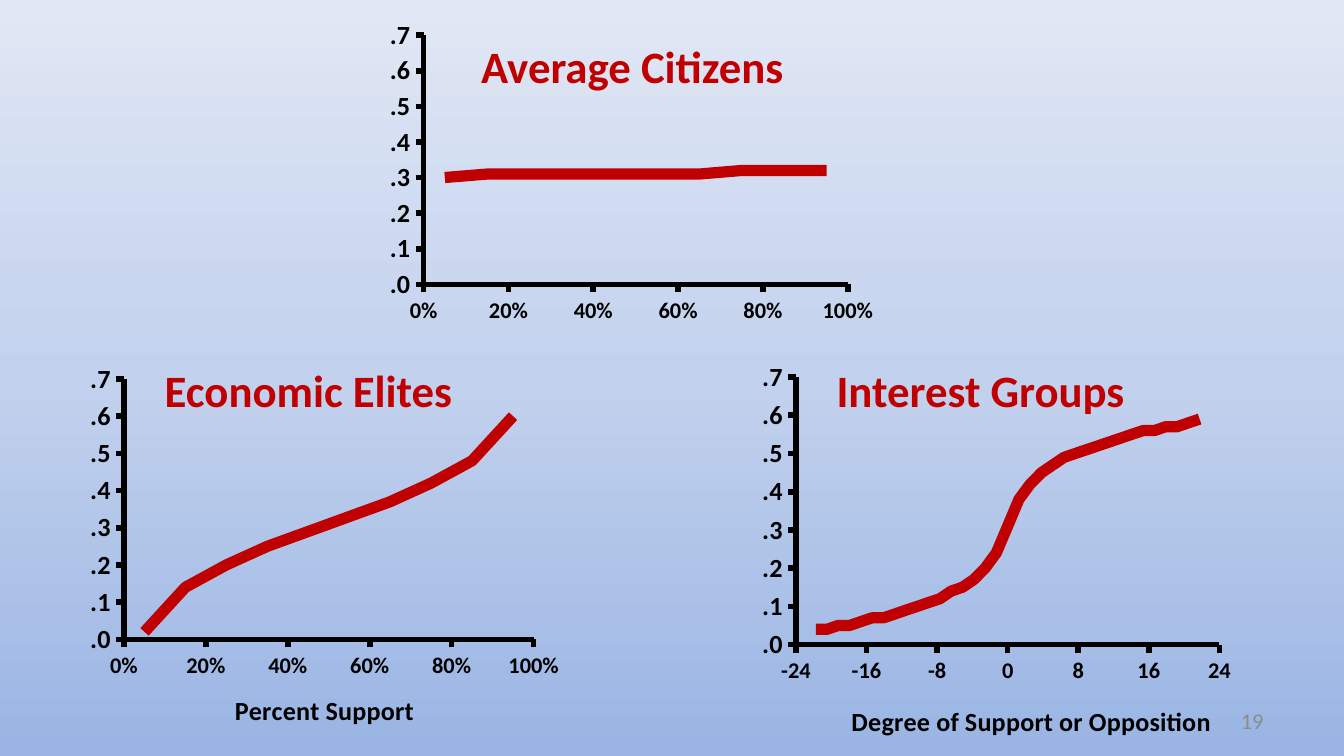
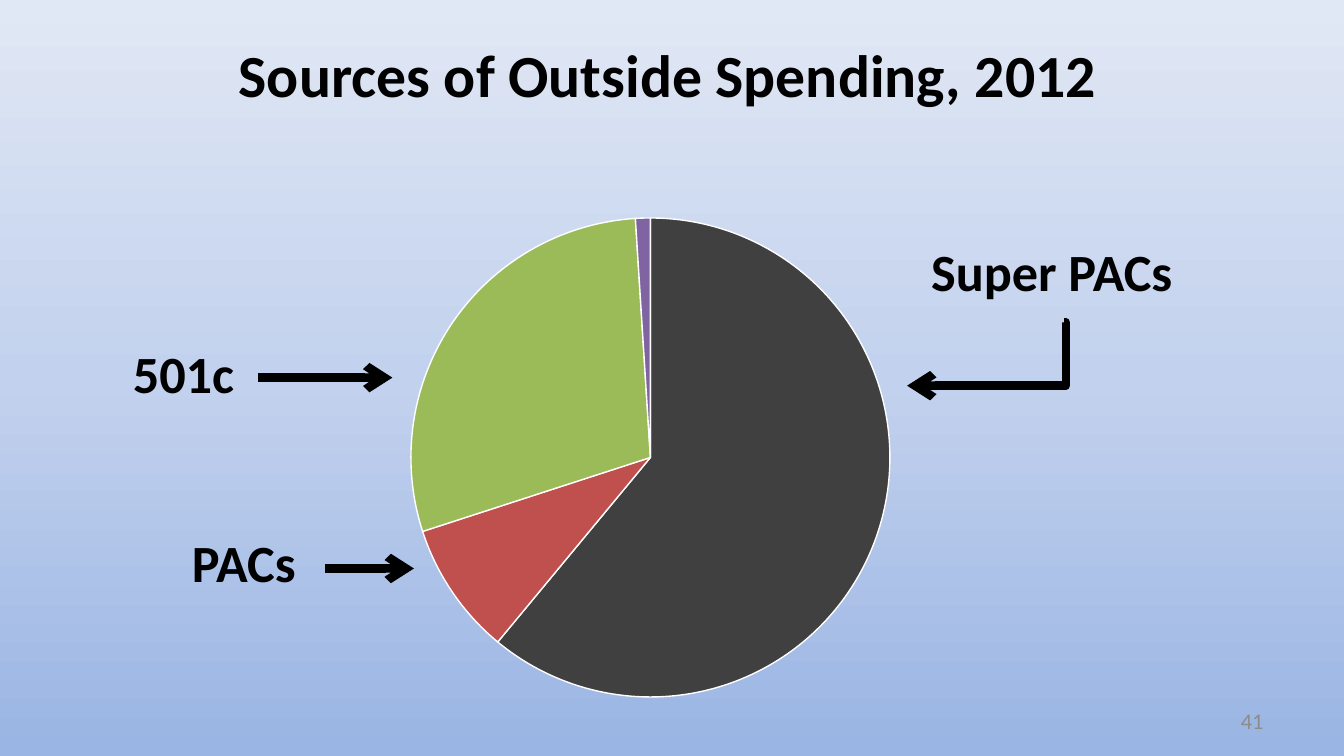
import copy
import dataclasses

import lxml.etree
import pptx
import pptx.chart.data
import pptx.dml.color
import pptx.enum.chart
import pptx.enum.shapes
import pptx.enum.text
import pptx.oxml.ns
import pptx.util

Inches = pptx.util.Inches
qn = pptx.oxml.ns.qn
Align = pptx.enum.text.PP_ALIGN
Anchor = pptx.enum.text.MSO_ANCHOR
ChartType = pptx.enum.chart.XL_CHART_TYPE
Connector = pptx.enum.shapes.MSO_CONNECTOR


@dataclasses.dataclass(frozen=True)
class Theme:
    """Colours, font and type sizes shared by the slides."""

    font: str = "Calibri"
    ink: str = "000000"
    curve: str = "C00000"
    muted: str = "8C8C8C"
    edge: str = "FFFFFF"
    backdrop: tuple = ("9AB5E4", "C2D1ED", "E1E8F5")
    slices: tuple = ("404040", "C0504D", "9BBB59", "8064A2")
    title: int = 32
    label: int = 28
    heading: int = 24
    axis: int = 14
    small: int = 12
    chart: int = 10


THEME = Theme()

SHARES = [5 * step / 100 for step in range(1, 20, 2)]
CITIZENS = [0.3] + [0.31] * 6 + [0.32] * 3
ELITES = [0.02, 0.14, 0.2, 0.25, 0.29, 0.33, 0.37, 0.42, 0.48, 0.6]
POSITIONS = [round(1.28 * step, 2) for step in range(-17, 18)]
GROUPS = [
    0.04, 0.04, 0.05, 0.05, 0.06, 0.07, 0.07, 0.08, 0.09, 0.1, 0.11, 0.12,
    0.14, 0.15, 0.17, 0.2, 0.24, 0.31, 0.38, 0.42, 0.45, 0.47, 0.49, 0.5,
    0.51, 0.52, 0.53, 0.54, 0.55, 0.56, 0.56, 0.57, 0.57, 0.58, 0.59,
]


def rgb(code):
    """Turn a hex code into a colour."""
    return pptx.dml.color.RGBColor.from_string(code)


def set_font(font, size, color=THEME.ink, bold=False):
    """Apply the theme font with a size, colour and weight."""
    font.name = THEME.font
    font.size = pptx.util.Pt(size)
    font.bold = bold
    font.color.rgb = rgb(color)


def set_line(line, color, width):
    """Give a line a solid colour and a width in points."""
    line.color.rgb = rgb(color)
    line.width = pptx.util.Pt(width)


def write(frame, text, size, color=THEME.ink, bold=True, align=Align.LEFT):
    """Write one formatted paragraph into a text frame."""
    para = frame.paragraphs[0]
    para.alignment = align
    span = para.add_run()
    span.text = text
    set_font(span.font, size, color, bold)


def place(left, top, width, height):
    """Convert a box in inches to lengths."""
    return [Inches(value) for value in (left, top, width, height)]


def add_text(page, text, box, anchor=Anchor.TOP, **style):
    """Add a wrapping text box."""
    frame = page.shapes.add_textbox(*place(*box)).text_frame
    frame.word_wrap = True
    frame.vertical_anchor = anchor
    write(frame, text, **style)


def add_heading(page, text, box):
    """Add the red heading of a small chart."""
    add_text(page, text, box, size=THEME.heading, color=THEME.curve, align=Align.CENTER)


def add_number(page, text):
    """Add the page number at the lower right."""
    add_text(page, text, (7.17, 5.21, 2.33, 0.3), anchor=Anchor.MIDDLE,
             size=THEME.small, color=THEME.muted, bold=False, align=Align.RIGHT)


def set_title(page, text, box):
    """Move and format the title placeholder."""
    title = page.shapes.title
    title.left, title.top, title.width, title.height = place(*box)
    frame = title.text_frame
    frame.word_wrap = True
    frame.vertical_anchor = Anchor.TOP
    frame.auto_size = pptx.enum.text.MSO_AUTO_SIZE.NONE
    write(frame, text, THEME.title, align=Align.CENTER)


def set_backdrop(master):
    """Fill the master background with an upward gradient."""
    fill = master.background.fill
    fill.gradient()
    fill.gradient_angle = 90
    stops = master.element.find(".//" + qn("a:gsLst"))
    stops.insert(1, copy.deepcopy(stops[0]))
    for index, (stop, color) in enumerate(zip(fill.gradient_stops, THEME.backdrop)):
        stop.position = index / 2
        stop.color.rgb = rgb(color)


def set_layout(owner, index, layout, target=()):
    """Fix a chart part at fractions of the chart."""
    for old in owner.findall(qn("c:layout")):
        owner.remove(old)
    holder = lxml.etree.Element(qn("c:layout"))
    owner.insert(index, holder)
    manual = lxml.etree.SubElement(holder, qn("c:manualLayout"))
    settings = [*target, ("xMode", "edge"), ("yMode", "edge")]
    settings += zip("xywh", map(str, layout))
    for name, value in settings:
        lxml.etree.SubElement(manual, qn("c:" + name)).set("val", value)


def add_chart(page, kind, data, box, layout, size=THEME.chart):
    """Add a plain chart without title or legend."""
    chart = page.shapes.add_chart(kind, *place(*box), data).chart
    chart.has_title = False
    chart.has_legend = False
    set_font(chart.font, size)
    area = chart.element.find(".//" + qn("c:plotArea"))
    set_layout(area, 0, layout, target=[("layoutTarget", "inner")])
    return chart


def style_axis(axis, size, number_format, low, high, step):
    """Set the scale, ticks, labels and line of an axis."""
    axis.has_major_gridlines = False
    axis.has_minor_gridlines = False
    axis.minimum_scale, axis.maximum_scale, axis.major_unit = low, high, step
    axis.major_tick_mark = pptx.enum.chart.XL_TICK_MARK.OUTSIDE
    axis.minor_tick_mark = pptx.enum.chart.XL_TICK_MARK.NONE
    axis.crosses = pptx.enum.chart.XL_AXIS_CROSSES.MINIMUM
    axis.tick_labels.number_format = number_format
    axis.tick_labels.number_format_is_linked = False
    set_font(axis.tick_labels.font, size, bold=True)
    set_line(axis.format.line, THEME.ink, 3)


def add_curve(page, points, box, layout, scale=("0%", 0, 1, 0.2), caption=None,
              caption_layout=None, size=THEME.chart):
    """Add a scatter chart with one thick curve."""
    data = pptx.chart.data.XyChartData()
    entry = data.add_series("Series 1")
    for x, y in points:
        entry.add_data_point(x, y)
    chart = add_chart(page, ChartType.XY_SCATTER_LINES_NO_MARKERS, data, box, layout, size)
    style_axis(chart.category_axis, THEME.small, *scale)
    style_axis(chart.value_axis, THEME.axis, ".0", 0, 0.7, 0.1)
    chart.value_axis.has_title = False
    chart.category_axis.has_title = caption is not None
    if caption:
        title = chart.category_axis.axis_title
        write(title.text_frame, caption, THEME.axis, align=Align.CENTER)
        if caption_layout:
            owner = chart.element.find(".//" + qn("c:valAx")).find(qn("c:title"))
            set_layout(owner, 1, caption_layout)
    chart.plots[0].vary_by_categories = False
    series = chart.plots[0].series[0]
    series.smooth = False
    set_line(series.format.line, THEME.curve, 6)


def add_pie(page, values, box, layout):
    """Add a pie chart with the slice colours of the theme."""
    data = pptx.chart.data.CategoryChartData()
    data.categories = [str(index + 1) for index in range(len(values))]
    data.add_series("Series 1", values)
    chart = add_chart(page, ChartType.PIE, data, box, layout)
    chart.plots[0].vary_by_categories = True
    for index, color in enumerate(THEME.slices):
        style = chart.plots[0].series[0].points[index].format
        style.fill.solid()
        style.fill.fore_color.rgb = rgb(color)
        set_line(style.line, THEME.edge, 0.75)


def add_arrow(page, start, end, bend=None):
    """Add a thick arrow, bent at a share of its width if given."""
    kind = Connector.STRAIGHT if bend is None else Connector.ELBOW
    ends = [Inches(value) for value in start + end]
    arrow = page.shapes.add_connector(kind, *ends)
    set_line(arrow.line, THEME.ink, 4.5)
    properties = arrow.element.spPr
    line = properties.find(qn("a:ln"))
    lxml.etree.SubElement(line, qn("a:tailEnd")).set("type", "arrow")
    lxml.etree.SubElement(properties, qn("a:effectLst"))
    if bend is not None:
        guides = properties.find(".//" + qn("a:avLst"))
        guide = lxml.etree.SubElement(guides, qn("a:gd"))
        guide.set("name", "adj1")
        guide.set("fmla", f"val {round(bend * 100000)}")


def build_influence(deck):
    """Build the slide with three influence curves."""
    page = deck.slides.add_slide(deck.slide_layouts[6])
    add_number(page, "19")
    add_curve(page, zip(SHARES, ELITES), (0.5, 2.52, 3.81, 3),
              (0.111, 0.1, 0.8, 0.646), caption="Percent Support")
    add_curve(page, zip(POSITIONS, GROUPS), (5.5, 2.52, 3.81, 3.04),
              (0.111, 0.094, 0.827, 0.655), scale=("#,##0", -24, 24, 8),
              caption="Degree of Support or Opposition", caption_layout=(0.21, 0.88))
    add_heading(page, "Interest Groups", (5.67, 2.65, 3.25, 0.5))
    add_heading(page, "Economic Elites", (0.92, 2.65, 2.75, 0.5))
    add_curve(page, zip(SHARES, CITIZENS), (2.14, -0.19, 4.42, 3),
              (0.229, 0.151, 0.714, 0.618), size=THEME.label)
    add_heading(page, "Average Citizens", (3.33, 0.24, 2.75, 0.5))


def build_spending(deck):
    """Build the slide with the spending pie."""
    page = deck.slides.add_slide(deck.slide_layouts[5])
    add_number(page, "41")
    for text, left, top, width in (
        ("Super PACs", 6.83, 1.73, 2.83),
        ("PACs", 1.33, 3.9, 1.42),
        ("501c", 0.89, 2.49, 1.42),
    ):
        add_text(page, text, (left, top, width, 0.57), size=THEME.label)
    add_pie(page, (61, 9, 29, 1), (2.18, 1.48, 5.32, 3.85), (0.165, 0.036, 0.67, 0.928))
    set_title(page, "Sources of Outside Spending, 2012", (1, 0.23, 7.94, 0.64))
    add_arrow(page, (7.92, 2.4), (6.75, 2.87), bend=-0.01)
    add_arrow(page, (2.42, 4.23), (3.08, 4.23))
    add_arrow(page, (1.92, 2.81), (2.92, 2.81))


def main():
    """Build and save the deck."""
    deck = pptx.Presentation()
    deck.slide_width = Inches(10)
    deck.slide_height = deck.slide_width * 9 // 16
    set_backdrop(deck.slide_master)
    build_influence(deck)
    build_spending(deck)
    deck.save("out.pptx")


if __name__ == "__main__":
    main()
